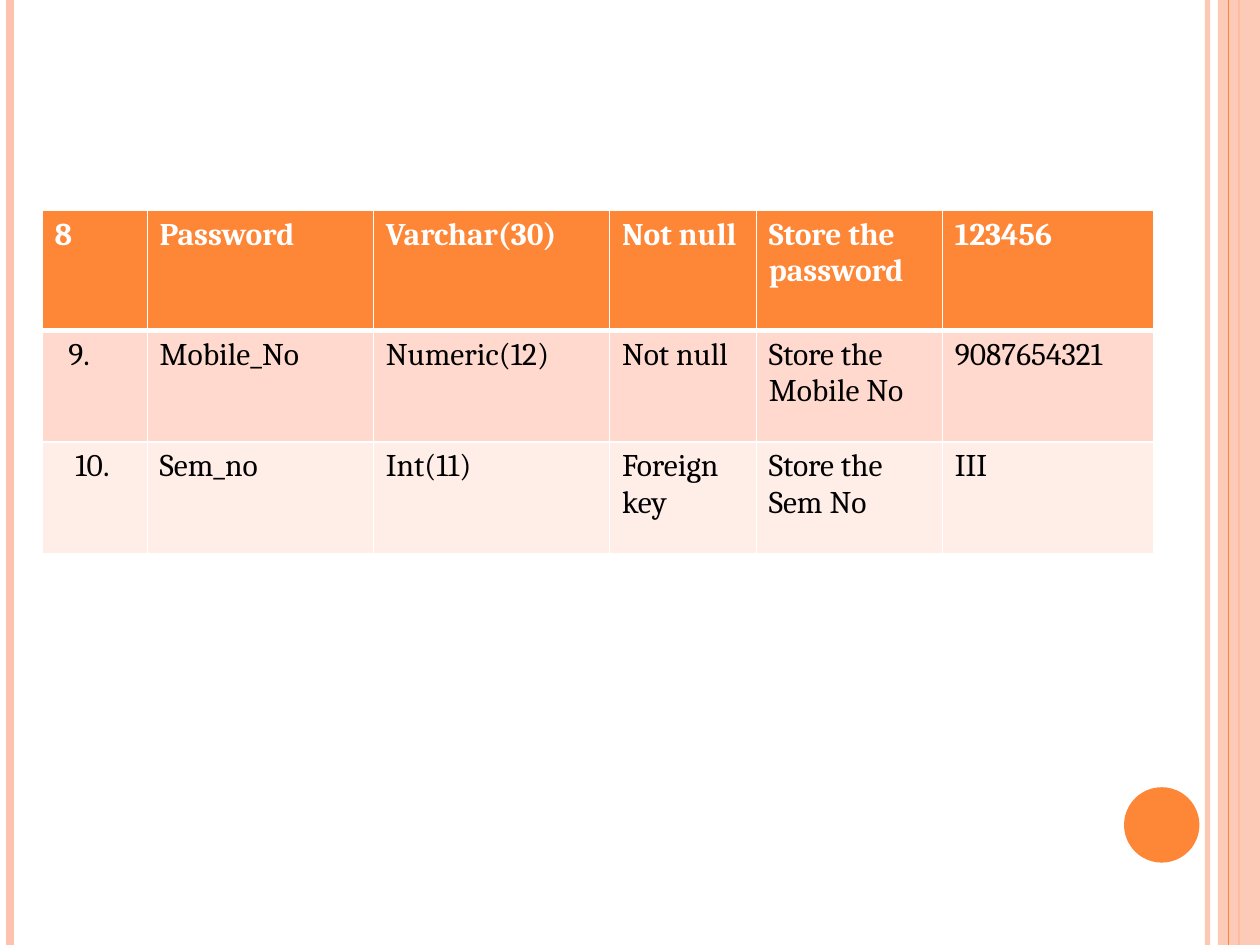
from pptx import Presentation
from pptx import util as u
from pptx.dml import color
from pptx.enum import shapes, text
from pptx.oxml import ns, xmlchemy

COLOURS = {"accent": "FE8637", "stripe": "FEC3AE", "band": "FFD9CE",
           "pale": "FFEDE8", "white": "FFFFFF", "black": "000000"}
PAGE_WIDTH, PAGE_HEIGHT = 25.4, 19.05
COLUMN_WIDTHS = (2.12, 4.56, 4.76, 2.96, 3.75, 4.27)
ROW_HEIGHTS = (2.42, 2.25, 2.25)
NUMBER_INDENTS = (0, 0.28, 0.42)
CELL_MARGIN = 0.25
FIELDS = (
    ("8", "Password", "Varchar(30)", "Not null", "Store the password", "123456"),
    ("9.", "Mobile_No", "Numeric(12)", "Not null", "Store the Mobile No", "9087654321"),
    ("10.", "Sem_no", "Int(11)", "Foreign key", "Store the Sem No", "III"),
)
ROW_STYLES = (
    {"fill": "accent", "font": "white", "bold": True, "bottom": 3},
    {"fill": "band", "font": "black", "bold": False, "bottom": 1},
    {"fill": "pale", "font": "black", "bold": False, "bottom": 1},
)


def rgb(name):
    """Return the named colour."""
    return color.RGBColor.from_string(COLOURS[name])


def set_format(target, values):
    """Set each attribute in values on the target."""
    for name, value in values.items():
        setattr(target, name, value)


def add_child(parent, tag, **attributes):
    """Append a drawing element with attributes and return it."""
    child = xmlchemy.OxmlElement(tag)
    for name, value in attributes.items():
        child.set(name, str(value))
    parent.append(child)
    return child


def set_opacity(fill, percent):
    """Make a solid fill partly transparent."""
    tint = fill._xPr.find(".//" + ns.qn("a:srgbClr"))
    add_child(tint, "a:alpha", val=percent * 1000)


def add_block(page, kind, box, colour, opacity=100):
    """Draw a borderless shape in the box."""
    block = page.shapes.add_shape(kind, *map(u.Cm, box))
    block.shadow.inherit = False
    block.fill.solid()
    block.fill.fore_color.rgb = rgb(colour)
    block.line.fill.background()
    if opacity < 100:
        set_opacity(block.fill, opacity)


def add_stripe(page, box, offset, width, colour, opacity=100):
    """Draw a vertical line down the box at an offset from its left."""
    left, top, _, height = box
    stripe = page.shapes.add_connector(
        shapes.MSO_CONNECTOR.STRAIGHT, u.Cm(left + offset), u.Cm(top),
        u.Cm(left + offset), u.Cm(top + height))
    stripe.line.width = u.Pt(width)
    stripe.line.color.rgb = rgb(colour)
    if opacity < 100:
        set_opacity(stripe.line.fill, opacity)
    add_child(stripe._element.spPr, "a:effectLst")


def add_frame(page, box):
    """Draw the side stripes and the corner disc within the box."""
    left, top, width, height = box
    right = left + width
    add_stripe(page, box, width - 1.06, 3, "stripe", 93)
    add_stripe(page, box, 0.21, 4.5, "stripe")
    add_stripe(page, box, width - 0.42, 1.5, "accent")
    add_block(page, shapes.MSO_SHAPE.RECTANGLE,
              (right - 0.85, top, 0.85, height), "stripe", 87)
    add_stripe(page, box, width - 0.64, 0.75, "accent")
    add_block(page, shapes.MSO_SHAPE.OVAL,
              (right - 2.74, top + height - 3.18, 1.52, 1.52), "accent")


def set_borders(cell, widths):
    """Give a cell white borders of the widths listed by side."""
    properties = cell._tc.get_or_add_tcPr()
    for position, (side, width) in enumerate(widths.items()):
        border = xmlchemy.OxmlElement(f"a:ln{side}")
        border.set("w", str(u.Pt(width)))
        fill = add_child(border, "a:solidFill")
        add_child(fill, "a:srgbClr", val=COLOURS["white"])
        properties.insert(position, border)


def fill_cell(cell, words, style, indent, top_border):
    """Write and style one table cell."""
    set_format(cell, {"text": words, "margin_left": u.Cm(CELL_MARGIN + indent),
                      "vertical_anchor": text.MSO_ANCHOR.TOP})
    cell.fill.solid()
    cell.fill.fore_color.rgb = rgb(style["fill"])
    font = cell.text_frame.paragraphs[0].runs[0].font
    set_format(font, {"name": "Cambria", "size": u.Pt(18), "bold": style["bold"]})
    font.color.rgb = rgb(style["font"])
    set_borders(cell, {"L": 1, "R": 1, "T": top_border, "B": style["bottom"]})


def add_field_table(page, box):
    """Place the table of database fields in the box."""
    table = page.shapes.add_table(
        len(FIELDS), len(COLUMN_WIDTHS), *map(u.Cm, box)).table
    for column, width in zip(table.columns, COLUMN_WIDTHS):
        column.width = u.Cm(width)
    top_border = 1
    for row, height, field, style, indent in zip(
            table.rows, ROW_HEIGHTS, FIELDS, ROW_STYLES, NUMBER_INDENTS):
        row.height = u.Cm(height)
        for number, (cell, words) in enumerate(zip(row.cells, field)):
            fill_cell(cell, words, style, 0 if number else indent, top_border)
        top_border = style["bottom"]


def main():
    """Build the slide and save the deck."""
    deck = Presentation()
    set_format(deck, {"slide_width": u.Cm(PAGE_WIDTH),
                      "slide_height": u.Cm(PAGE_HEIGHT)})
    page = deck.slides.add_slide(deck.slide_layouts[6])
    add_frame(page, (0, 0, PAGE_WIDTH, PAGE_HEIGHT))
    add_field_table(page, (0.85, 4.24, sum(COLUMN_WIDTHS), sum(ROW_HEIGHTS)))
    deck.save("out.pptx")


if __name__ == "__main__":
    main()
